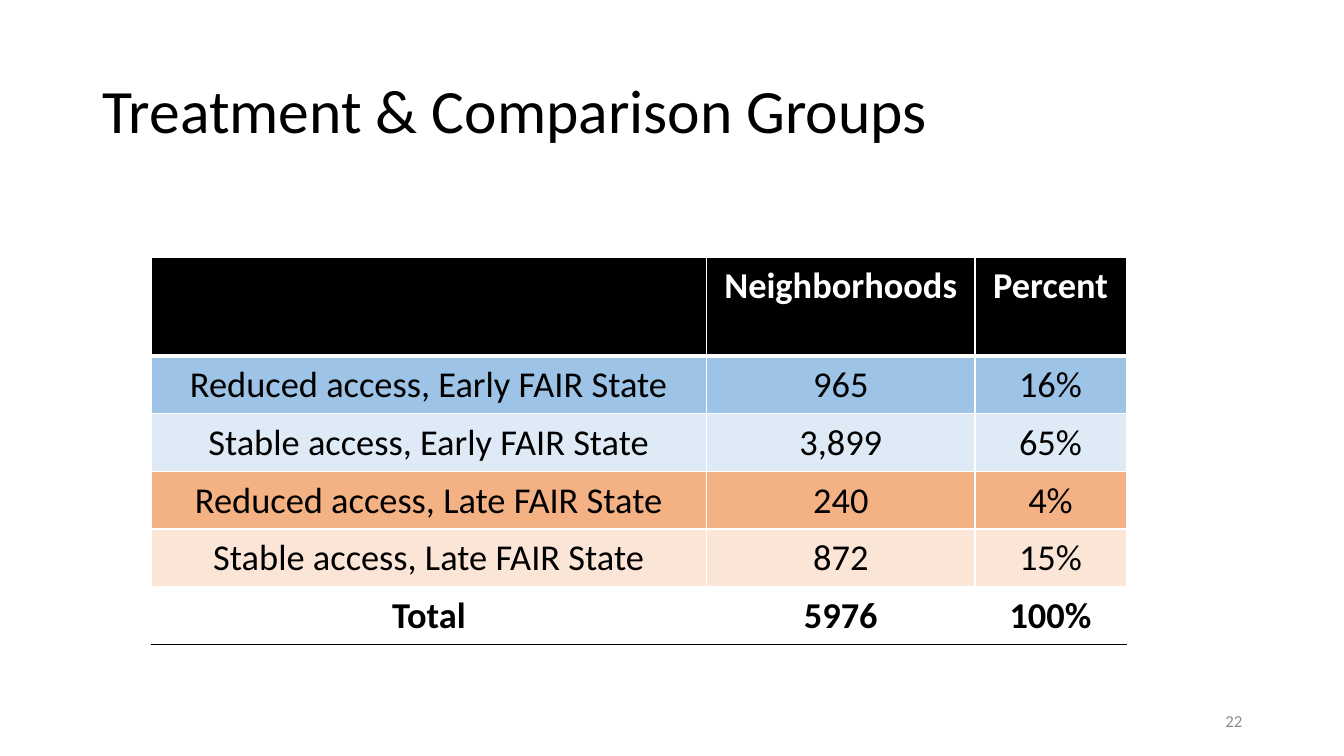
from lxml.etree import SubElement
from pptx import Presentation
from pptx.dml.color import RGBColor
from pptx.enum.text import MSO_ANCHOR as Anchor, PP_ALIGN as Align
from pptx.oxml.ns import qn
from pptx.util import Inches, Pt

BLACK = RGBColor(0x00, 0x00, 0x00)
WHITE = RGBColor(0xFF, 0xFF, 0xFF)
GREY = RGBColor(0x8C, 0x8C, 0x8C)
BLUE = RGBColor(0x9D, 0xC3, 0xE6)
PALE_BLUE = RGBColor(0xDE, 0xEB, 0xF7)
ORANGE = RGBColor(0xF4, 0xB1, 0x83)
PALE_ORANGE = RGBColor(0xFB, 0xE5, 0xD6)

TITLE = "Treatment & Comparison Groups"
PAGE_NUMBER = "22"
GROUPS = [
    (("", "Neighborhoods", "Percent"), BLACK),
    (("Reduced access, Early FAIR State", "965", "16%"), BLUE),
    (("Stable access, Early FAIR State", "3,899", "65%"), PALE_BLUE),
    (("Reduced access, Late FAIR State", "240", "4%"), ORANGE),
    (("Stable access, Late FAIR State", "872", "15%"), PALE_ORANGE),
    (("Total", "5976", "100%"), WHITE),
]
LAST = len(GROUPS) - 1
COLUMN_WIDTHS = [5.51, 2.66, 1.5]
ROW_HEIGHTS = [0.98] + [0.57] * LAST
RULES = [(WHITE, 1), (WHITE, 3)] + [(WHITE, 1)] * (LAST - 1) + [(BLACK, 1)]


def write(frame, text, size, color=BLACK, bold=False, align=Align.LEFT, spacing=1.0):
    """Put one formatted paragraph into a text frame."""
    paragraph = frame.paragraphs[0]
    paragraph.alignment = align
    paragraph.line_spacing = spacing
    paragraph.font.size = Pt(size)
    if text:
        run = paragraph.add_run()
        run.text = text
        run.font.name = "Calibri"
        run.font.size = Pt(size)
        run.font.bold = bold
        run.font.color.rgb = color


def add_text(slide, box, text, **style):
    """Add a vertically centred text box."""
    frame = slide.shapes.add_textbox(*map(Inches, box)).text_frame
    frame.word_wrap = True
    frame.vertical_anchor = Anchor.MIDDLE
    write(frame, text, **style)


def add_borders(cell, top, bottom):
    """Draw the four edges of a cell, ahead of its fill."""
    properties = cell._tc.get_or_add_tcPr()
    edges = {"a:lnL": (WHITE, 1), "a:lnR": (WHITE, 1), "a:lnT": top, "a:lnB": bottom}
    for tag, (color, width) in edges.items():
        line = SubElement(properties, qn(tag), w=str(Pt(width)))
        fill = SubElement(line, qn("a:solidFill"))
        SubElement(fill, qn("a:srgbClr"), val=str(color))


def add_groups_table(slide, left, top):
    """Add the table of neighborhood groups."""
    size = (sum(COLUMN_WIDTHS), sum(ROW_HEIGHTS))
    shape = slide.shapes.add_table(
        len(GROUPS), len(COLUMN_WIDTHS), *map(Inches, (left, top, *size)))
    table = shape.table
    for column, width in zip(table.columns, COLUMN_WIDTHS):
        column.width = Inches(width)
    for index, (values, fill) in enumerate(GROUPS):
        table.rows[index].height = Inches(ROW_HEIGHTS[index])
        for cell, value in zip(table.rows[index].cells, values):
            cell.margin_left = cell.margin_right = Inches(0.13)
            cell.margin_top = cell.margin_bottom = Inches(0.07)
            add_borders(cell, RULES[index], RULES[index + 1])
            cell.fill.solid()
            cell.fill.fore_color.rgb = fill
            write(cell.text_frame, value, 26, WHITE if index == 0 else BLACK,
                  bold=index in (0, LAST), align=Align.CENTER)


def main():
    """Build and save the slide."""
    presentation = Presentation()
    presentation.slide_width = Inches(13.33)
    presentation.slide_height = Inches(7.5)
    slide = presentation.slides.add_slide(presentation.slide_layouts[6])
    add_text(slide, (0.92, 0.4, 11.5, 1.45), TITLE, size=44, spacing=0.9)
    add_groups_table(slide, 1.5, 2.55)
    add_text(slide, (9.42, 6.95, 3, 0.4), PAGE_NUMBER, size=12, color=GREY,
             align=Align.RIGHT)
    presentation.save("out.pptx")


if __name__ == "__main__":
    main()
